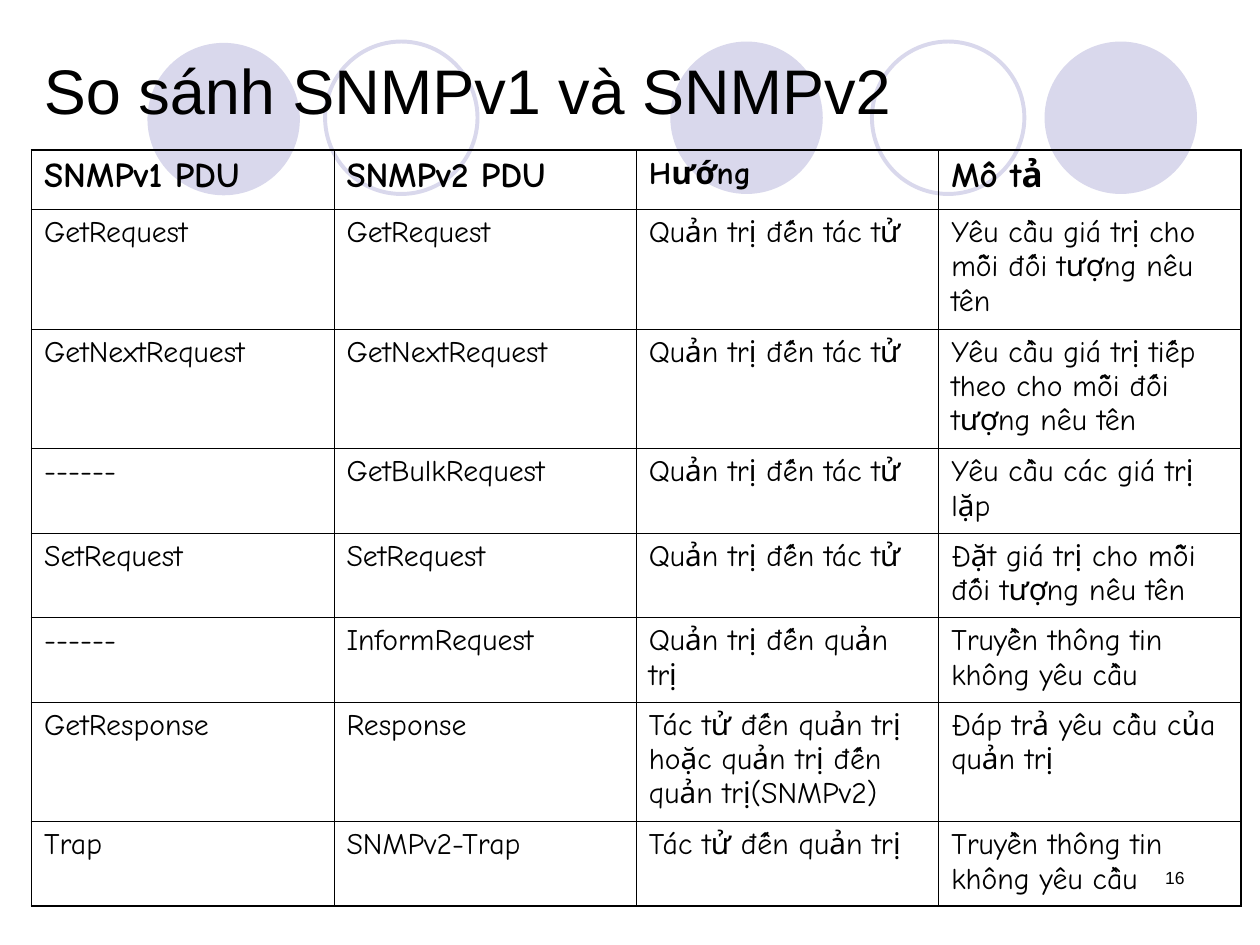
from dataclasses import dataclass
from typing import Optional

from lxml.etree import SubElement
from pptx import Presentation
from pptx.dml.color import RGBColor
from pptx.enum.shapes import MSO_SHAPE as Shape
from pptx.enum.text import MSO_ANCHOR as Anchor, PP_ALIGN as Align
from pptx.oxml import parse_xml
from pptx.oxml.ns import nsdecls, qn
from pptx.util import Inches, Pt

BLACK = RGBColor(0x00, 0x00, 0x00)
LAVENDER = RGBColor(0xD9, 0xD8, 0xEC)
HEADING_FONT, TABLE_FONT = "Arial", "Comic Neue"
SLIDE_W, SLIDE_H = Inches(10), Inches(7.5)
THIN, THICK = Pt(0.45), Pt(1.08)
DIAMETER = Inches(1.21)


@dataclass
class Circle:
    left: float
    top: float = 0.33
    filled: bool = True


@dataclass
class Label:
    text: str
    left: float
    top: float
    width: float
    height: float
    size: float
    align: Align = Align.LEFT
    anchor: Anchor = Anchor.TOP


@dataclass
class Row:
    height: float
    texts: tuple[str, ...]


CIRCLES = [
    Circle(5.32), Circle(8.29), Circle(1.17, top=0.34),
    Circle(6.92, filled=False), Circle(2.58, filled=False),
]

LABELS = [
    Label("16", 7.17, 6.83, 2.33, 0.5, 10, align=Align.RIGHT),
    Label("So sánh SNMPv1 và SNMPv2", 0.25, 0.08, 9.42, 1.25, 36, anchor=Anchor.MIDDLE),
]

# Row heights follow the number of text lines
HEAD, TWO_LINES, THREE_LINES = 0.47, 0.67, 0.95
TO_AGENT = "Quản trị đến tác tử"
UNSOLICITED = "Truyền thông tin không yêu cầu"
NONE = "------"
ROWS = [
    Row(HEAD, ("SNMPv1 PDU", "SNMPv2 PDU", "Hướng", "Mô tả")),
    Row(THREE_LINES, ("GetRequest", "GetRequest", TO_AGENT,
                      "Yêu cầu giá trị cho mỗi đối tượng nêu tên")),
    Row(THREE_LINES, ("GetNextRequest", "GetNextRequest", TO_AGENT,
                      "Yêu cầu giá trị tiếp theo cho mỗi đối tượng nêu tên")),
    Row(TWO_LINES, (NONE, "GetBulkRequest", TO_AGENT, "Yêu cầu các giá trị lặp")),
    Row(TWO_LINES, ("SetRequest", "SetRequest", TO_AGENT,
                    "Đặt giá trị cho mỗi đối tượng nêu tên")),
    Row(TWO_LINES, (NONE, "InformRequest", "Quản trị đến quản trị", UNSOLICITED)),
    Row(THREE_LINES, ("GetResponse", "Response",
                      "Tác tử đến quản trị hoặc quản trị đến quản trị(SNMPv2)",
                      "Đáp trả yêu cầu của quản trị")),
    Row(TWO_LINES, ("Trap", "SNMPv2-Trap", "Tác tử đến quản trị", UNSOLICITED)),
]
COLUMN_W = 2.4
HEADER_SIZES = (20, 20, 18, 20)
BODY_SIZE = 17


def style_text(p, font: str, size: float, bold: Optional[bool] = None) -> None:
    for r in p.runs:
        r.font.name, r.font.size, r.font.bold = font, Pt(size), bold
        r.font.color.rgb = BLACK


def draw_circle(slide, circle: Circle) -> None:
    sp = slide.shapes.add_shape(Shape.OVAL, Inches(circle.left), Inches(circle.top),
                                DIAMETER, DIAMETER)
    sp.shadow.inherit = False
    if circle.filled:
        sp.fill.solid()
        sp.fill.fore_color.rgb = LAVENDER
        sp.line.fill.background()
    else:
        sp.fill.background()
        sp.line.color.rgb = LAVENDER
        sp.line.width = Pt(2.25)


def draw_label(slide, label: Label) -> None:
    box = (label.left, label.top, label.width, label.height)
    tf = slide.shapes.add_textbox(*map(Inches, box)).text_frame
    tf.word_wrap = True
    tf.vertical_anchor = label.anchor
    p = tf.paragraphs[0]
    p.text, p.alignment = label.text, label.align
    style_text(p, HEADING_FONT, label.size)


def set_borders(cell, outer: dict[str, bool]) -> None:
    """Thick lines on the table's outer edges, thin ones inside."""
    tc_pr = cell._tc.get_or_add_tcPr()
    for i, (side, is_outer) in enumerate(outer.items()):
        width = THICK if is_outer else THIN
        ln = parse_xml(f'<a:ln{side} {nsdecls("a")} w="{int(width)}"/>')
        fill = SubElement(ln, qn("a:solidFill"))
        SubElement(fill, qn("a:srgbClr"), val=str(BLACK))
        tc_pr.insert(i, ln)  # borders come before the cell fill


def draw_table(slide, rows: list[Row]) -> None:
    n_rows, n_cols = len(rows), len(rows[0].texts)
    table = slide.shapes.add_table(
        n_rows, n_cols, Inches(0.25), Inches(1.19),
        Inches(COLUMN_W * n_cols), Inches(sum(row.height for row in rows))).table
    table.first_row = table.horz_banding = False
    for column in table.columns:
        column.width = Inches(COLUMN_W)
    for i, row in enumerate(rows):
        table.rows[i].height = Inches(row.height)
        for j, text in enumerate(row.texts):
            cell = table.cell(i, j)
            cell.fill.background()
            set_borders(cell, {"L": j == 0, "R": j == n_cols - 1,
                               "T": i == 0, "B": i == n_rows - 1})
            size = HEADER_SIZES[j] if i == 0 else BODY_SIZE
            p = cell.text_frame.paragraphs[0]
            p.text = text
            p.space_before = Pt(size / 4)
            style_text(p, TABLE_FONT, size, bold=i == 0)


def main() -> None:
    prs = Presentation()
    prs.slide_width, prs.slide_height = SLIDE_W, SLIDE_H
    s = prs.slides.add_slide(prs.slide_layouts[6])

    # Decorative circles behind the title
    for circle in CIRCLES:
        draw_circle(s, circle)

    # Slide number and title
    for label in LABELS:
        draw_label(s, label)

    # PDU comparison
    draw_table(s, ROWS)
    prs.save("out.pptx")


if __name__ == "__main__":
    main()
